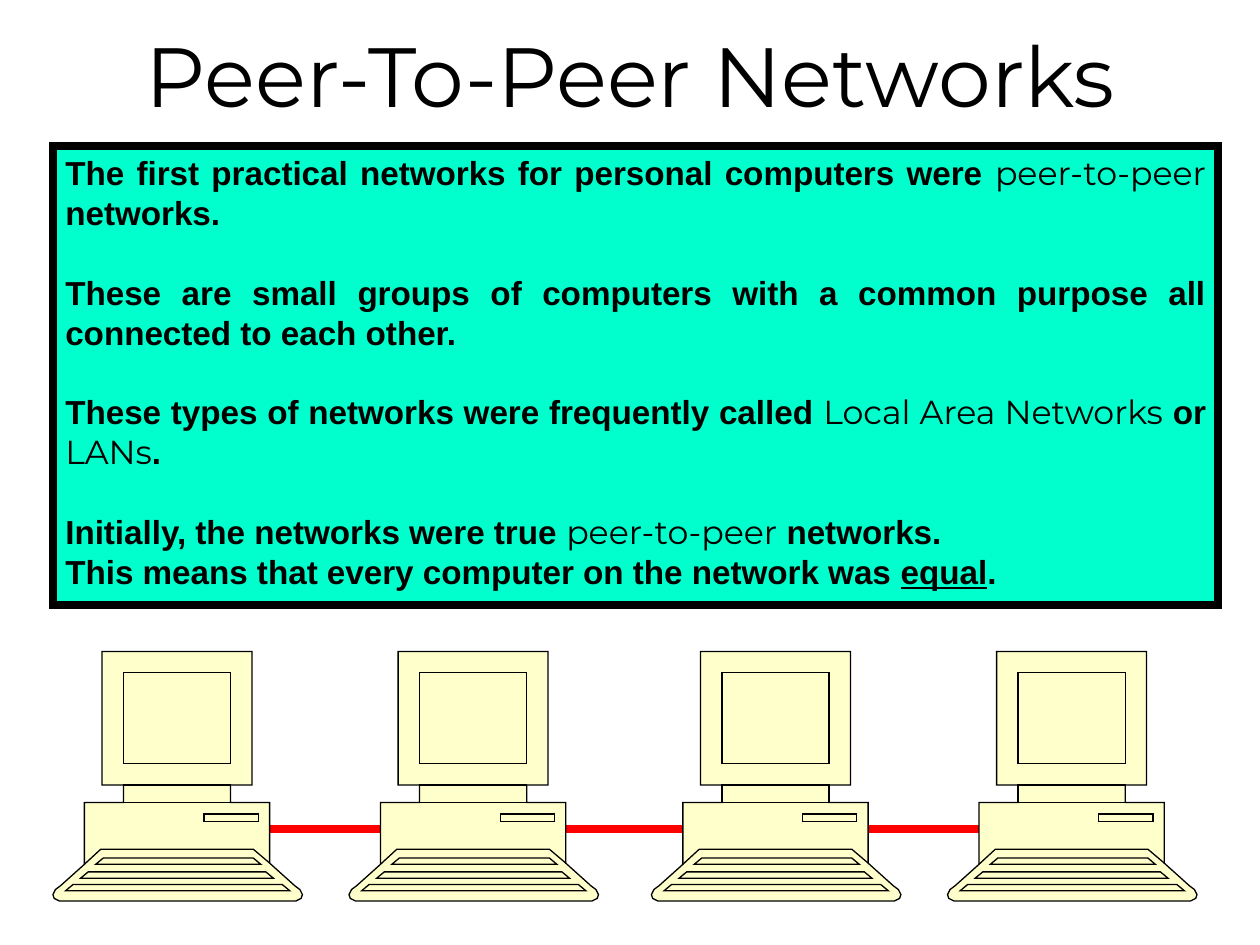
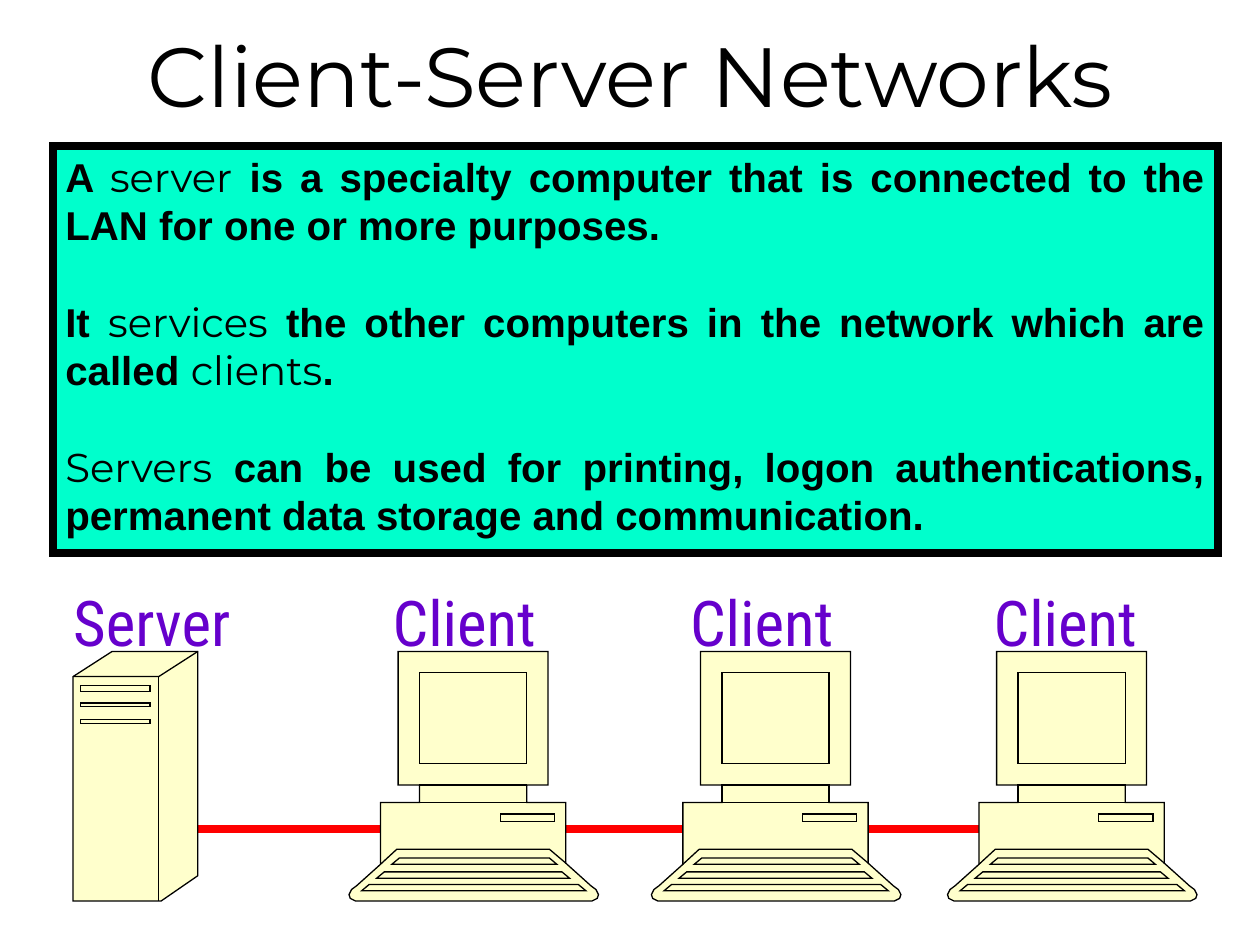
"""Build two slides that compare peer-to-peer and client-server networks."""
from dataclasses import dataclass
from typing import Any, NamedTuple

import lxml.etree
import pptx
import pptx.dml.color
import pptx.enum.shapes
import pptx.enum.text
import pptx.oxml.ns
import pptx.util

Inches, Pt = pptx.util.Inches, pptx.util.Pt
RGB, qn = pptx.dml.color.RGBColor.from_string, pptx.oxml.ns.qn
ALIGN, ANCHOR = pptx.enum.text.PP_ALIGN, pptx.enum.text.MSO_ANCHOR


@dataclass(frozen=True)
class Theme:
    """Colours, fonts and sizes shared by both slides."""
    ink: str = "000000"
    panel: str = "00FFCC"
    machine: str = "FFFFCC"
    cable: str = "FF0000"
    label: str = "6600CC"
    body_font: str = "Arial"
    term_font: str = "Montserrat"
    label_font: str = "Roboto Condensed"
    title_size: float = 48
    label_size: float = 36
    thick: float = 4.5
    thin: float = 0.75
    line_pitch: float = 1.2


T = Theme()
BODY = {"name": T.body_font, "bold": True}
TERM = {"name": T.term_font, "bold": False}
UNDERLINED = {**BODY, "underline": True}
TITLE = {"name": T.term_font, "size": Pt(T.title_size)}
LABEL = {"name": T.label_font, "size": Pt(T.label_size)}


class Run(NamedTuple):
    """A stretch of text in one style."""
    text: str
    style: dict[str, Any] = BODY


class Para(NamedTuple):
    """A panel paragraph, set off by an empty line's height if gap is true."""
    runs: list[Run]
    gap: bool = True


class Contour(NamedTuple):
    """A polyline in hundredths of an inch."""
    points: list[tuple[int, int]]
    closed: bool = True


class Machine(NamedTuple):
    """A drawn device: its filled silhouette and the lines on top."""
    outline: Contour
    details: list[Contour]


class Node(NamedTuple):
    """A device placed on a slide, with an optional caption."""
    machine: Machine
    left: float
    caption: str = ""
    caption_left: float = 0


@dataclass(frozen=True)
class Page:
    """Everything that differs between the slides."""
    title: str
    panel_height: float
    text_size: float
    paras: list[Para]
    nodes: list[Node]


def box(x1: int, y1: int, x2: int, y2: int) -> Contour:
    """Return a rectangular contour."""
    return Contour([(x1, y1), (x2, y1), (x2, y2), (x1, y2)])


def key_row(left: int, right: int, top: int) -> Contour:
    """Return one trapezoid row of the keyboard."""
    return Contour([(right, top + 5), (right - 6, top), (left + 6, top), (left, top + 5)])


COMPUTER = Machine(
    Contour([(192, 186), (172, 168), (172, 120), (141, 120), (141, 106), (158, 106),
             (158, 0), (39, 0), (39, 106), (56, 106), (56, 120), (25, 120), (25, 169),
             (6, 186), (2, 189), (0, 193), (1, 196), (5, 198), (193, 198), (197, 196),
             (198, 193), (196, 189)]),
    [key_row(34, 165, 164), key_row(22, 175, 175), key_row(10, 188, 185),
     Contour([(172, 168), (159, 157), (38, 157), (25, 169)], closed=False),
     box(120, 129, 163, 135), box(56, 17, 141, 89), box(56, 106, 141, 120)])

SERVER = Machine(
    Contour([(0, 20), (31, 0), (99, 0), (99, 178), (70, 198), (0, 198)]),
    [Contour([(0, 20), (68, 20), (99, 0)], closed=False),
     Contour([(68, 20), (68, 198)], closed=False),
     box(6, 27, 61, 32), box(6, 41, 61, 44), box(6, 54, 61, 57)])

CLIENTS = [Node(COMPUTER, left, "Client", caption_left)
           for left, caption_left in ((2.77, 3.01), (5.17, 5.37), (7.52, 7.78))]

PAGES = [
    Page("Peer-To-Peer Networks", 3.64, 19, [
        Para([Run("The first practical networks for personal computers were "),
              Run("peer-to-peer", TERM), Run(" networks.")], gap=False),
        Para([Run("These are small groups of computers with a common purpose all "
                  "connected to each other.")]),
        Para([Run("These types of networks were frequently called "),
              Run("Local Area Networks", TERM), Run(" or "), Run("LANs", TERM), Run(".")]),
        Para([Run("Initially, the networks were true "), Run("peer-to-peer", TERM),
              Run(" networks.")]),
        Para([Run("This means that every computer on the network was "),
              Run("equal", UNDERLINED), Run(".")], gap=False),
    ], [Node(COMPUTER, 0.42)] + [Node(COMPUTER, c.left) for c in CLIENTS]),
    Page("Client-Server Networks", 3.23, 23, [
        Para([Run("A "), Run("server", TERM),
              Run(" is a specialty computer that is connected to the LAN for one or "
                  "more purposes.")], gap=False),
        Para([Run("It "), Run("services", TERM),
              Run(" the other computers in the network which are called "),
              Run("clients", TERM), Run(".")]),
        Para([Run("Servers", TERM),
              Run(" can be used for printing, logon authentications, permanent data "
                  "storage and communication.")]),
    ], CLIENTS + [Node(SERVER, 0.58, "Server", 0.53)]),
]


def add_run(p: Any, text: str, style: dict[str, Any], color: str = T.ink) -> None:
    """Append a styled run to a paragraph."""
    r = p.add_run()
    r.text = text
    r.font.color.rgb = RGB(color)
    for name, value in style.items():
        setattr(r.font, name, value)


def set_line(sp: Any, color: str, width: float) -> None:
    """Give a shape or connector a solid line with sharp corners."""
    sp.line.color.rgb = RGB(color)
    sp.line.width = Pt(width)
    lxml.etree.SubElement(sp._element.spPr.find(qn("a:ln")), qn("a:miter"), lim="800000")


def add_text(slide: Any, at: tuple[float, float, float, float], run: Run, color: str,
             anchor: Any) -> None:
    """Add a text box with one centred line that may use its full width."""
    tf = slide.shapes.add_textbox(*map(Inches, at)).text_frame
    frame = {"word_wrap": True, "vertical_anchor": anchor,
             "margin_left": 0, "margin_right": 0}
    for name, value in frame.items():
        setattr(tf, name, value)
    p = tf.paragraphs[0]
    p.alignment = ALIGN.CENTER
    add_run(p, run.text, run.style, color)


def add_cable(slide: Any) -> None:
    """Draw the cable that runs behind all devices."""
    sp = slide.shapes.add_connector(pptx.enum.shapes.MSO_CONNECTOR.STRAIGHT,
                                    *map(Inches, (1.42, 6.58, 8.17, 6.58)))
    set_line(sp, T.cable, T.thick)
    lxml.etree.SubElement(sp._element.spPr, qn("a:effectLst"))


def add_panel(slide: Any, page: Page) -> None:
    """Draw the framed panel with its justified paragraphs."""
    sp = slide.shapes.add_shape(pptx.enum.shapes.MSO_SHAPE.RECTANGLE,
                                *map(Inches, (0.42, 1.16, 9.25, page.panel_height)))
    sp.shadow.inherit = False
    sp.fill.solid()
    sp.fill.fore_color.rgb = RGB(T.panel)
    set_line(sp, T.ink, T.thick)
    tf = sp.text_frame
    tf.word_wrap, tf.vertical_anchor = True, ANCHOR.TOP
    pitch = Pt(page.text_size * T.line_pitch)
    for i, para in enumerate(page.paras):
        p = tf.add_paragraph() if i else tf.paragraphs[0]
        layout = {"alignment": ALIGN.JUSTIFY, "line_spacing": pitch,
                  "space_before": pitch if para.gap else Pt(0)}
        for name, value in layout.items():
            setattr(p, name, value)
        for run in para.runs:
            add_run(p, run.text, {**run.style, "size": Pt(page.text_size)})


def add_contours(shapes: Any, contours: list[Contour], left: float, top: float) -> Any:
    """Build one freeform from several contours and return it."""
    builder = shapes.build_freeform(*contours[0].points[0], scale=Inches(0.01))
    for i, contour in enumerate(contours):
        if i:
            builder.move_to(*contour.points[0])
        builder.add_line_segments(contour.points[1:], close=contour.closed)
    sp = builder.convert_to_shape(Inches(left), Inches(top))
    sp.shadow.inherit = False
    set_line(sp, T.ink, T.thin)
    return sp


def add_node(slide: Any, node: Node) -> None:
    """Draw a device as a group, with its caption above."""
    shapes, top = slide.shapes.add_group_shape().shapes, 5.17
    body = add_contours(shapes, [node.machine.outline], node.left, top)
    body.fill.solid()
    body.fill.fore_color.rgb = RGB(T.machine)
    add_contours(shapes, node.machine.details, node.left, top).fill.background()
    if node.caption:
        add_text(slide, (node.caption_left, 4.58, 1.35, 0.45), Run(node.caption, LABEL),
                 T.label, ANCHOR.TOP)


def add_page(prs: Any, page: Page) -> None:
    """Add one complete slide."""
    slide = prs.slides.add_slide(prs.slide_layouts[6])
    add_cable(slide)
    add_panel(slide, page)
    add_text(slide, (0, 0, 10, 1.17), Run(page.title, TITLE), T.ink, ANCHOR.MIDDLE)
    for node in page.nodes:
        add_node(slide, node)


def main() -> None:
    """Build and save the presentation."""
    prs = pptx.Presentation()
    prs.slide_width, prs.slide_height = Inches(10), Inches(7.5)
    for page in PAGES:
        add_page(prs, page)
    prs.save("out.pptx")


main()
